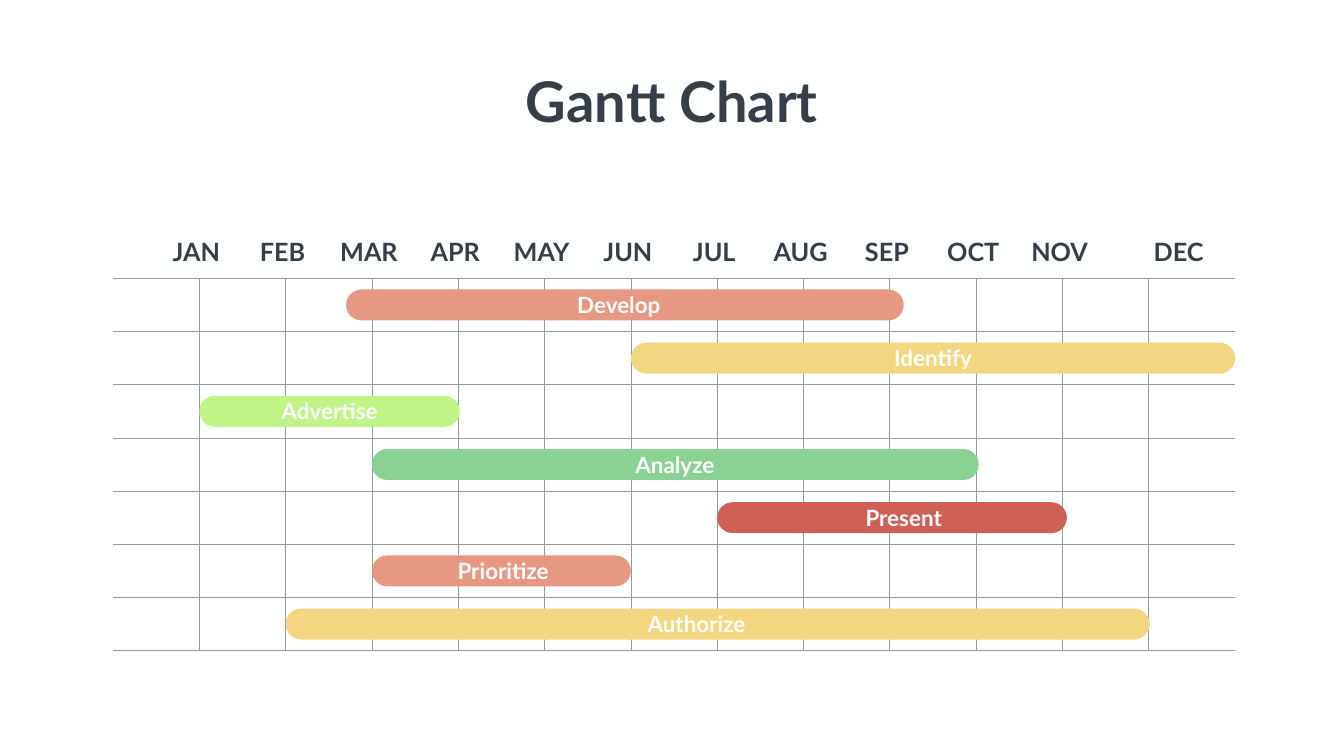
from lxml.etree import SubElement
from pptx import Presentation
from pptx.dml.color import RGBColor
from pptx.enum.shapes import MSO_SHAPE
from pptx.enum.text import MSO_ANCHOR, PP_ALIGN
from pptx.oxml import parse_xml
from pptx.oxml.ns import nsdecls, qn
from pptx.util import Cm, Pt

INK, PAPER, RULE = "353E49", "FEFFFF", "989998"
PLAIN = "{2D5ABB26-0587-4C30-8999-92F81FD0307C}"
COLS, ROWS = 13, 9
MONTHS = "JAN FEB MAR APR MAY JUN JUL AUG SEP OCT NOV".split()
TASKS = [
    ("Develop", 2.7, 9.16, 5.86, "E69883"),
    ("Identify", 6, 13, 9.5, "F3D780"),
    ("Advertise", 1, 4.02, 2.51, "C0F488"),
    ("Analyze", 3, 10.03, 6.51, "8AD194"),
    ("Present", 7, 11.05, 9.16, "CF6056"),
    ("Prioritize", 3, 6, 4.52, "E69883"),
    ("Authorize", 2, 12.01, 6.76, "F3D780"),
]


def color(code):
    """Turn a hex string into a colour."""
    return RGBColor.from_string(code)


def add_run(para, text, size, code):
    """Add one bold run to a paragraph."""
    run = para.add_run()
    run.text = text
    font = run.font
    font.name, font.size, font.bold = "Lato", Pt(size), True
    font.color.rgb = color(code)


def add_label(slide, box, text, size, code, wrap=True):
    """Place a centred line of text in a box given in centimetres."""
    frame = slide.shapes.add_textbox(*map(Cm, box)).text_frame
    frame.word_wrap = wrap
    para = frame.paragraphs[0]
    para.alignment = PP_ALIGN.CENTER
    add_run(para, text, size, code)


def set_edges(cell, edges):
    """Draw the named edges of a cell, in the order L, R, T, B."""
    props = cell._tc.get_or_add_tcPr()
    for spot, edge in enumerate(edges):
        props.insert(spot, parse_xml(
            f'<a:ln{edge} {nsdecls("a")} w="12700"><a:solidFill>'
            f'<a:srgbClr val="{RULE}"/></a:solidFill></a:ln{edge}>'))


def find_edges(row, col):
    """Name the edges that a cell of the grid shows."""
    if row == 0:
        return "B"
    if row == ROWS - 1:
        return "T"
    return ("L" if col else "") + ("R" if col < COLS - 1 else "") + "TB"


def add_months(table, step):
    """Write the month names across the top row."""
    first, last = table.cell(0, 0), table.cell(0, COLS - 1)
    first.merge(table.cell(0, COLS - 2))
    first.margin_left = 0
    para = first.text_frame.paragraphs[0]
    tabs = SubElement(para._p.get_or_add_pPr(), qn("a:tabLst"))
    for num in range(1, len(MONTHS) + 1):
        stop = SubElement(tabs, qn("a:tab"))
        stop.set("pos", str(Cm(num * step - 0.15)))
        stop.set("algn", "ctr")
    add_run(para, "".join("\t" + name for name in MONTHS), 36, INK)
    add_run(last.text_frame.paragraphs[0], "DEC", 36, INK)
    first.vertical_anchor = last.vertical_anchor = MSO_ANCHOR.MIDDLE


def add_grid(slide, box):
    """Place the ruled month table in a box."""
    left, top, width, height = box
    frame = slide.shapes.add_table(ROWS, COLS, *map(Cm, box))
    table = frame.table
    table.first_row = table.horz_banding = False
    table._tbl.tblPr.find(qn("a:tableStyleId")).text = PLAIN
    for col in table.columns:
        col.width = Cm(width / COLS)
    for row in table.rows:
        row.height = Cm(height / ROWS)
    for row in range(ROWS):
        for col in range(COLS):
            cell = table.cell(row, col)
            cell.fill.background()
            set_edges(cell, find_edges(row, col))
    add_months(table, width / COLS)


def add_tasks(slide, box):
    """Place one bar with its label in each row of the grid box."""
    left, top, width, height = box
    step, pitch = width / COLS, height / ROWS
    for row, (name, start, end, mid, code) in enumerate(TASKS, 1):
        axis = top + (row + 0.5) * pitch
        bar = slide.shapes.add_shape(
            MSO_SHAPE.ROUNDED_RECTANGLE, Cm(left + start * step),
            Cm(axis - 0.78), Cm((end - start) * step), Cm(1.56))
        bar.adjustments[0] = 0.5
        bar.shadow.inherit = False
        bar.fill.solid()
        bar.fill.fore_color.rgb = color(code)
        bar.line.fill.background()
        spot = (left + mid * step - 3.3, axis - 0.82, 6.6, 1.64)
        add_label(slide, spot, name, 32, PAPER)


def main():
    """Build the slide and save it."""
    deck = Presentation()
    deck.slide_width, deck.slide_height = Cm(67.72), Cm(38.1)
    slide = deck.slides.add_slide(deck.slide_layouts[6])
    back = slide.background.fill
    back.solid()
    back.fore_color.rgb = color(PAPER)
    box = (5.69, 11.35, 56.55, 24.12)
    add_grid(slide, box)
    add_tasks(slide, box)
    add_label(slide, (26.06, 3.23, 15.6, 3.68), "Gantt Chart", 80, INK, False)
    deck.save("out.pptx")


if __name__ == "__main__":
    main()
